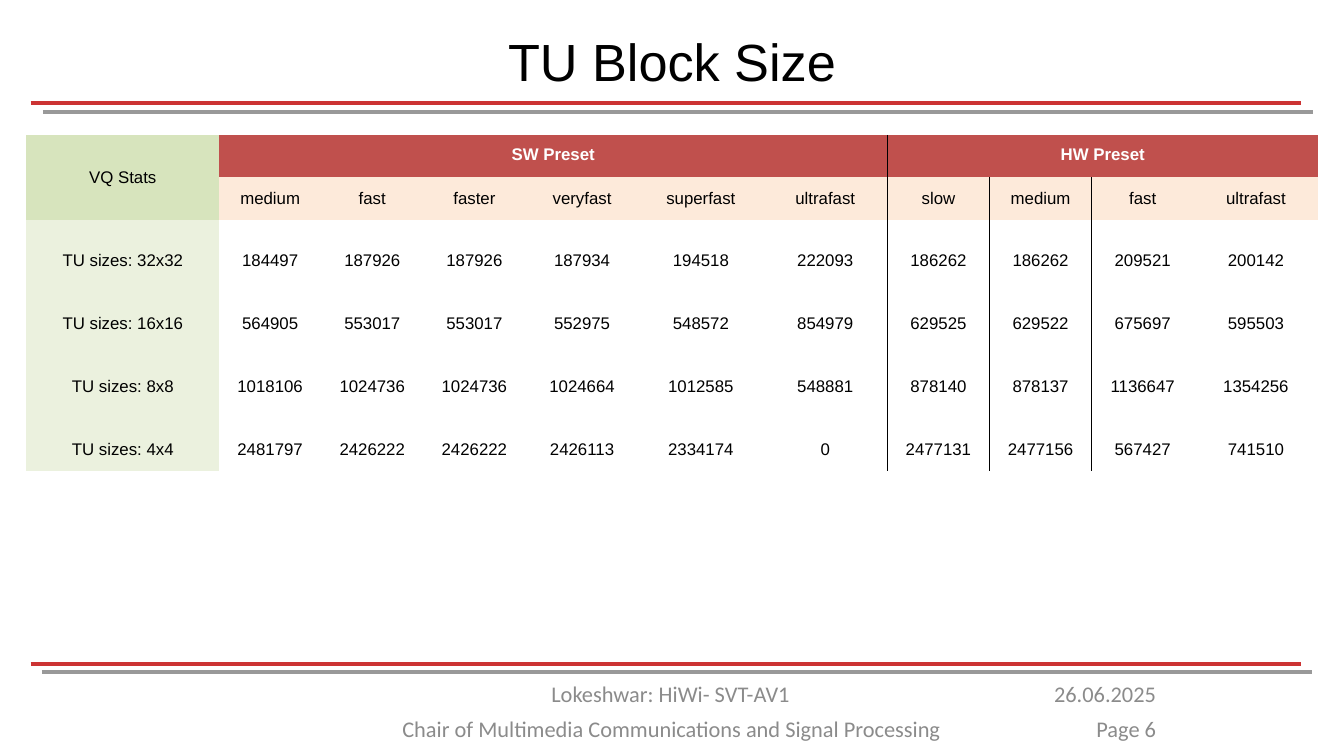
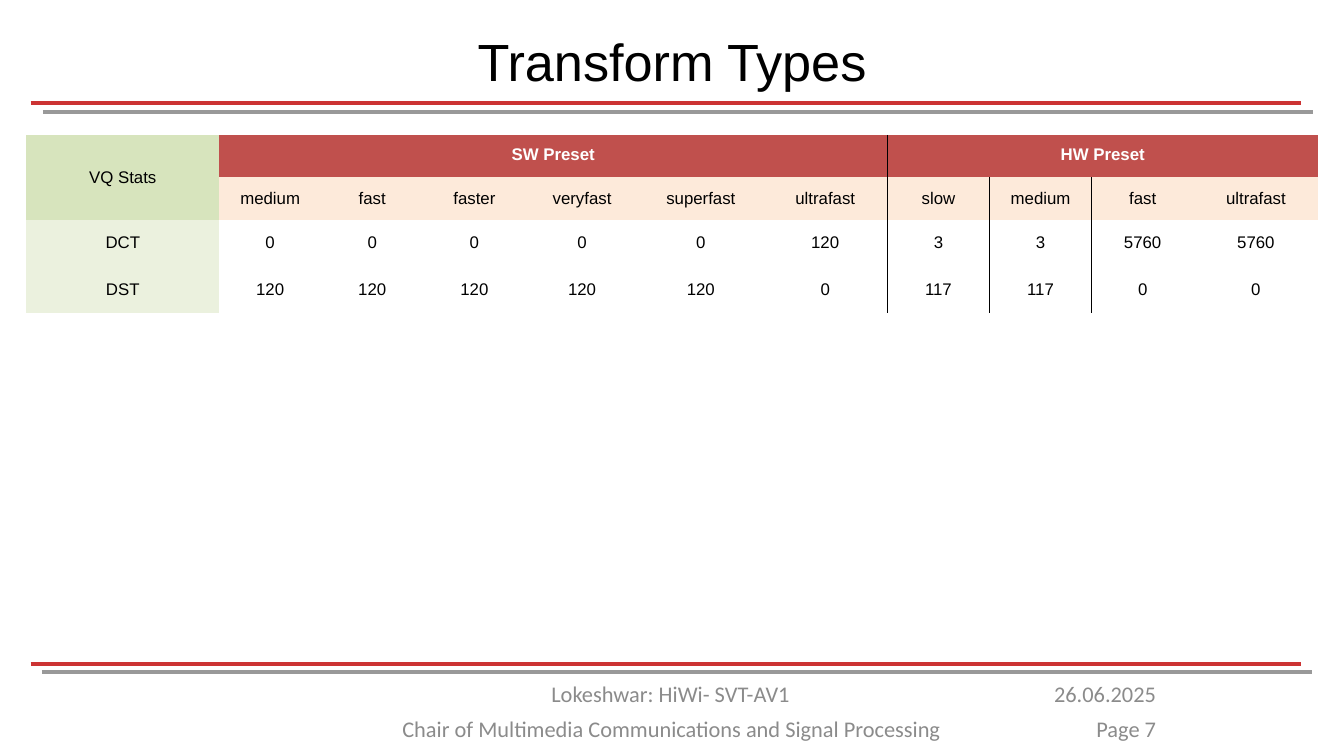
from dataclasses import dataclass

from lxml.etree import SubElement, fromstring
from pptx import Presentation
from pptx.dml.color import RGBColor
from pptx.enum.shapes import MSO_CONNECTOR
from pptx.enum.text import MSO_ANCHOR, MSO_AUTO_SIZE, PP_ALIGN
from pptx.oxml.ns import nsdecls, qn
from pptx.util import Cm, Pt


@dataclass(frozen=True)
class Theme:
    black: str = "000000"
    white: str = "FFFFFF"
    red: str = "CC3333"
    grey: str = "999999"
    footer_grey: str = "8B8B8B"
    corner_green: str = "D7E4BD"
    label_green: str = "EBF1DE"
    group_red: str = "C0504D"
    preset_peach: str = "FDEADA"
    body_font: str = "Arial"
    footer_font: str = "Calibri"
    title_size: int = 28
    footer_size: int = 12
    table_size: int = 9
    rule_width: float = 2.25


NO_STYLE_NO_GRID = "{2D5ABB26-0587-4C30-8999-92F81FD0307C}"
SW_PRESETS = ["medium", "fast", "faster", "veryfast", "superfast", "ultrafast"]
HW_PRESETS = ["slow", "medium", "fast", "ultrafast"]
COLUMN_WIDTHS = [3.64, 1.93, 1.93, 1.93, 2.14, 2.35, 2.35, 1.93, 1.93, 1.93, 2.35]
HEADER_HEIGHT = 0.8
HEADER_INSET = 0.2

TU_SIZES = {
    "TU sizes: 32x32": [184497, 187926, 187926, 187934, 194518, 222093,
                        186262, 186262, 209521, 200142],
    "TU sizes: 16x16": [564905, 553017, 553017, 552975, 548572, 854979,
                        629525, 629522, 675697, 595503],
    "TU sizes: 8x8": [1018106, 1024736, 1024736, 1024664, 1012585, 548881,
                      878140, 878137, 1136647, 1354256],
    "TU sizes: 4x4": [2481797, 2426222, 2426222, 2426113, 2334174, 0,
                      2477131, 2477156, 567427, 741510],
}
TRANSFORMS = {
    "DCT": [0, 0, 0, 0, 0, 120, 3, 3, 5760, 5760],
    "DST": [120, 120, 120, 120, 120, 0, 117, 117, 0, 0],
}


class Deck:
    def __init__(self, theme):
        self.theme = theme
        self.presentation = Presentation()
        self.presentation.slide_width = Cm(25.4)
        self.presentation.slide_height = Cm(14.29)
        self.slide = None

    def add_slide(self, title, page):
        theme = self.theme
        self.slide = self.presentation.slides.add_slide(self.presentation.slide_layouts[6])
        self.double_rule(0.58, 1.94, 0.23, 0.17)
        self.footer("Chair of Multimedia Communications and Signal Processing",
                    6.6, 13.39, 12.19, PP_ALIGN.CENTER)
        self.footer("Lokeshwar: HiWi- SVT-AV1", 6.58, 12.73, 12.19, PP_ALIGN.CENTER)
        self.footer("26.06.2025", 19.51, 12.73, 2.59, PP_ALIGN.RIGHT)
        self.footer(f"Page {page}", 19.1, 13.39, 3, PP_ALIGN.RIGHT)
        self.double_rule(0.58, 12.55, 0.21, 0.15)
        heading = self.text(title, 1.27, 0.36, 22.86, 1.57, PP_ALIGN.CENTER,
                            theme.body_font, theme.title_size, theme.black)
        heading.vertical_anchor = MSO_ANCHOR.MIDDLE

    def double_rule(self, left, top, shift_x, shift_y):
        """Draw a red rule with a grey one set off below it."""
        self.rule(left, top, self.theme.red)
        self.rule(left + shift_x, top + shift_y, self.theme.grey)

    def rule(self, left, top, color):
        rule = self.slide.shapes.add_connector(
            MSO_CONNECTOR.STRAIGHT, Cm(left), Cm(top), Cm(left + 24), Cm(top))
        rule.line.color.rgb = RGBColor.from_string(color)
        rule.line.width = Pt(self.theme.rule_width)
        SubElement(rule._element.spPr, qn("a:effectLst"))

    def text(self, wording, left, top, width, height, align, font, size, color):
        box = self.slide.shapes.add_textbox(Cm(left), Cm(top), Cm(width), Cm(height))
        frame = box.text_frame
        frame.word_wrap = True
        self.set_text(frame, wording, align, font, size, color)
        return frame

    def set_text(self, frame, wording, align, font, size, color, bold=False):
        frame.text = wording
        paragraph = frame.paragraphs[0]
        paragraph.alignment = align
        paragraph.font.name = font
        paragraph.font.size = Pt(size)
        paragraph.font.bold = bold
        paragraph.font.color.rgb = RGBColor.from_string(color)

    def footer(self, wording, left, top, width, align):
        theme = self.theme
        frame = self.text(wording, left, top, width, 0.76, align,
                          theme.footer_font, theme.footer_size, theme.footer_grey)
        frame.auto_size = MSO_AUTO_SIZE.SHAPE_TO_FIT_TEXT

    def stats_table(self, stats, row_height, inset, line_spacing=None):
        """Build the preset table; inset and line_spacing apply to the body rows."""
        theme = self.theme
        heights = [HEADER_HEIGHT] * 2 + [row_height] * len(stats)
        frame = self.slide.shapes.add_table(
            len(heights), len(COLUMN_WIDTHS), Cm(0.5), Cm(2.55),
            Cm(sum(COLUMN_WIDTHS)), Cm(sum(heights)))
        table = frame.table
        table.first_row = table.horz_banding = False
        table._tbl.tblPr.find(qn("a:tableStyleId")).text = NO_STYLE_NO_GRID
        for column, width in zip(table.columns, COLUMN_WIDTHS):
            column.width = Cm(width)
        for row, height in zip(table.rows, heights):
            row.height = Cm(height)

        first_hw = 1 + len(SW_PRESETS)
        last = len(COLUMN_WIDTHS) - 1
        table.cell(0, 0).merge(table.cell(1, 0))
        table.cell(0, 1).merge(table.cell(0, first_hw - 1))
        table.cell(0, first_hw).merge(table.cell(0, last))

        self.cell(table.cell(0, 0), "VQ Stats", theme.corner_green)
        for column, group in ((1, "SW Preset"), (first_hw, "HW Preset")):
            self.cell(table.cell(0, column), group, theme.group_red, theme.white,
                      bold=True, anchor=MSO_ANCHOR.TOP)
        for column, preset in enumerate(SW_PRESETS + HW_PRESETS, 1):
            self.cell(table.cell(1, column), preset, theme.preset_peach)
        for row, (label, counts) in enumerate(stats.items(), 2):
            for column, entry in enumerate([label, *counts]):
                cell = table.cell(row, column)
                self.cell(cell, str(entry), None if column else theme.label_green, inset=inset)
                cell.text_frame.paragraphs[0].line_spacing = line_spacing
        self.dividers(table, first_hw)

    def cell(self, cell, wording, fill, color=None, bold=False,
             anchor=MSO_ANCHOR.MIDDLE, inset=HEADER_INSET):
        theme = self.theme
        self.set_text(cell.text_frame, wording, PP_ALIGN.CENTER, theme.body_font,
                      theme.table_size, color or theme.black, bold)
        cell.vertical_anchor = anchor
        cell.margin_left = cell.margin_right = Cm(inset)
        cell.margin_top = cell.margin_bottom = Cm(inset)
        if fill:
            cell.fill.solid()
            cell.fill.fore_color.rgb = RGBColor.from_string(fill)
        else:
            cell.fill.background()

    def dividers(self, table, first_hw):
        """Rule off the slow preset, with only its left rule in the top row."""
        for row in range(len(table.rows)):
            starts = {first_hw} if row == 0 else {first_hw, first_hw + 1}
            for column in range(len(table.columns)):
                cell = table.cell(row, column)
                if cell.is_spanned:
                    continue
                if column + cell.span_width in starts:
                    self.border(cell, "lnR")
                if column in starts:
                    self.border(cell, "lnL")

    def border(self, cell, side):
        cell._tc.get_or_add_tcPr().insert(0, fromstring(
            f'<a:{side} {nsdecls("a")} w="{Pt(1)}"><a:solidFill>'
            f'<a:srgbClr val="{self.theme.black}"/></a:solidFill></a:{side}>'))


def main():
    deck = Deck(Theme())
    deck.add_slide("TU Block Size", 6)
    deck.stats_table(TU_SIZES, row_height=1.19, inset=0.2, line_spacing=2.0)
    deck.add_slide("Transform Types", 7)
    deck.stats_table(TRANSFORMS, row_height=0.88, inset=0.25)
    deck.presentation.save("out.pptx")


if __name__ == "__main__":
    main()
